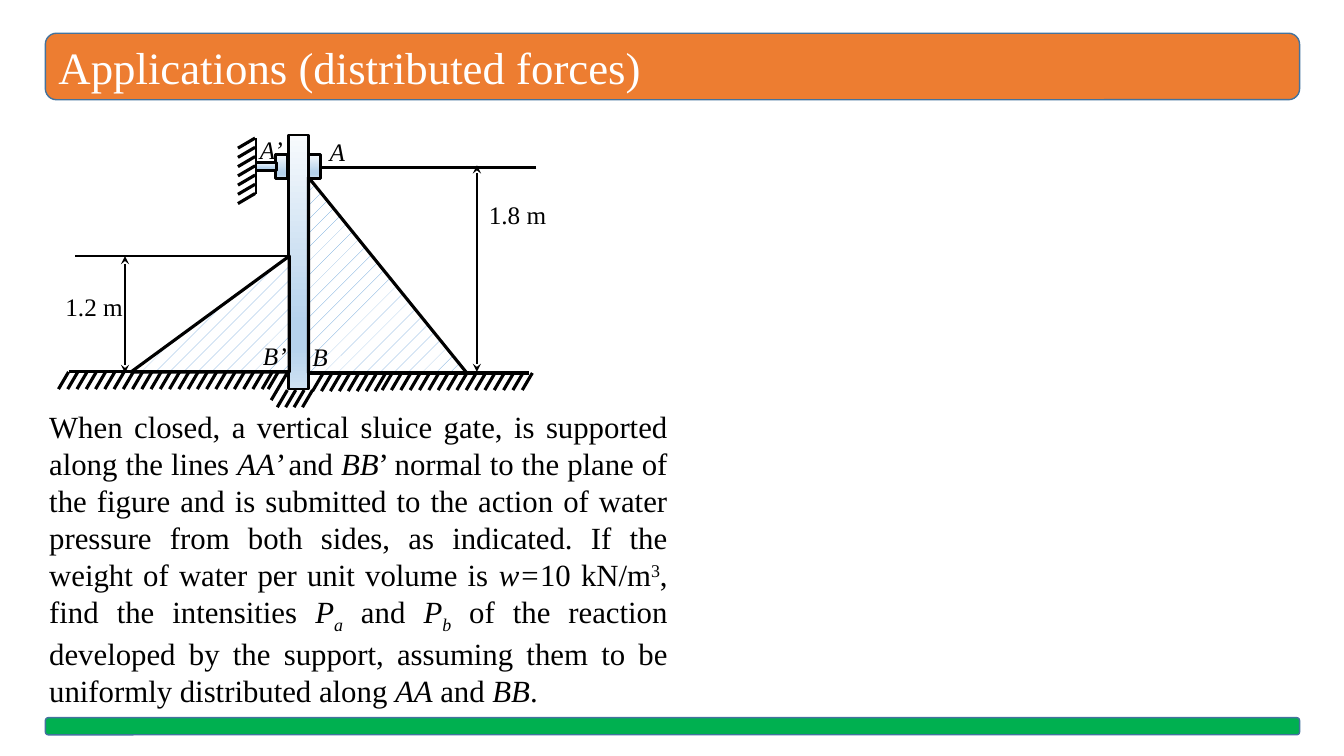
"""Build a slide on the water pressure that acts on a sluice gate."""
from dataclasses import dataclass

from lxml import etree
from pptx import Presentation
from pptx.dml.color import RGBColor
from pptx.enum.dml import MSO_PATTERN
from pptx.enum.shapes import MSO_CONNECTOR, MSO_SHAPE
from pptx.enum.text import MSO_ANCHOR, PP_ALIGN
from pptx.oxml.ns import qn
from pptx.util import Inches, Pt

RECT = MSO_SHAPE.RECTANGLE
ROUND = MSO_SHAPE.ROUNDED_RECTANGLE
WEDGE = MSO_SHAPE.RIGHT_TRIANGLE
STRAIGHT = MSO_CONNECTOR.STRAIGHT
DOTS = MSO_PATTERN.PERCENT_5
MIDDLE = MSO_ANCHOR.MIDDLE
LEFT, JUSTIFY = PP_ALIGN.LEFT, PP_ALIGN.JUSTIFY


@dataclass(frozen=True)
class Theme:
    """Colours, font, type sizes and line widths."""
    font: str = "Times New Roman"
    ink: str = "000000"
    paper: str = "FFFFFF"
    banner: str = "ED7D31"
    footer: str = "00B050"
    edge: str = "43739E"
    water: str = "5B9BD5"
    steel: tuple = ((0, "F7FAFD"), (74, "B5D2EC"), (83, "B5D2EC"), (100, "CEE1F2"))
    title: int = 32
    body: int = 22
    label: int = 18
    thin: float = 1
    level: float = 1.75
    frame: float = 2
    thick: float = 2.25


def write(para, text, font, size, color, slant=False, base=0):
    """Add a run of text with its format."""
    run = para.add_run()
    run.text = text
    run.font.name, run.font.size = font, Pt(size)
    run.font.color.rgb = RGBColor.from_string(color)
    run.font.italic = slant
    if base:
        run.font._element.set("baseline", str(base * 1000))


class Board:
    """Draw styled elements on the current slide."""

    def __init__(self, slide, theme):
        """Keep the slide and the theme."""
        self.slide, self.theme = slide, theme
        self.host = slide.shapes

    def group(self):
        """Send the next elements to a new group."""
        self.host = self.slide.shapes.add_group_shape().shapes

    def leave(self):
        """Send the next elements to the slide itself."""
        self.host = self.slide.shapes

    def shape(self, kind, box, edge, width):
        """Add an outlined shape."""
        item = self.host.add_shape(kind, *map(Inches, box))
        item.shadow.inherit = False
        item.line.color.rgb = RGBColor.from_string(edge)
        item.line.width = Pt(width)
        return item

    def bar(self, box, fill, text=""):
        """Add a rounded bar with an optional heading."""
        style = self.theme
        item = self.shape(ROUND, box, style.edge, style.thin)
        item.fill.solid()
        item.fill.fore_color.rgb = RGBColor.from_string(fill)
        if text:
            frame = item.text_frame
            frame.vertical_anchor = MIDDLE
            para = frame.paragraphs[0]
            para.alignment = LEFT
            write(para, text, style.font, style.title, style.paper)

    def plate(self, *box):
        """Add a steel part with a vertical gradient."""
        item = self.shape(RECT, box, self.theme.ink, self.theme.frame)
        item.fill.gradient()
        item.fill.gradient_angle = 270
        stops = item.element.spPr.find(qn("a:gradFill")).find(qn("a:gsLst"))
        for stop in list(stops):
            stops.remove(stop)
        for place, color in self.theme.steel:
            stop = etree.SubElement(stops, qn("a:gs"), pos=str(place * 1000))
            etree.SubElement(stop, qn("a:srgbClr"), val=color)

    def wedge(self, *box, flip=False):
        """Add a triangle of water pressure."""
        style = self.theme
        item = self.shape(WEDGE, box, style.ink, style.thick)
        item.fill.patterned()
        item.fill.pattern = DOTS
        item.fill.fore_color.rgb = RGBColor.from_string(style.water)
        item.fill.back_color.rgb = RGBColor.from_string(style.paper)
        if flip:
            item.element.spPr.find(qn("a:xfrm")).set("flipH", "1")

    def line(self, *ends, width, arrows=False):
        """Add a straight line from one point to another."""
        item = self.host.add_connector(STRAIGHT, *map(Inches, ends))
        item.line.color.rgb = RGBColor.from_string(self.theme.ink)
        item.line.width = Pt(width)
        props = item.element.spPr
        if arrows:
            for end in ("a:headEnd", "a:tailEnd"):
                etree.SubElement(props.find(qn("a:ln")), qn(end), type="stealth")
        etree.SubElement(props, qn("a:effectLst"))

    def hatch(self, start, stop, count, slope):
        """Add equal ticks between two points."""
        for i in range(count):
            x, y = (a + (b - a) * i / (count - 1) for a, b in zip(start, stop))
            self.line(x, y, x + slope[0], y + slope[1], width=self.theme.thick)

    def text(self, box, parts, size, wrap=False, align=LEFT):
        """Add a text box made of formatted parts."""
        frame = self.host.add_textbox(*map(Inches, box)).text_frame
        frame.word_wrap = wrap
        para = frame.paragraphs[0]
        para.alignment = align
        for words, form in parts:
            write(para, words, self.theme.font, size, self.theme.ink, **form)


PLAIN, SLANT = {}, {"slant": True}
SUB, SUPER = {"slant": True, "base": -25}, {"base": 30}

TASK = [
    ("When closed, a vertical sluice gate, is supported along the lines ", PLAIN),
    ("AA’ ", SLANT), ("and ", PLAIN), ("BB", SLANT),
    ("’ normal to the plane of the figure and is submitted to the action of "
     "water pressure from both sides, as indicated. If the weight of water "
     "per unit volume is ", PLAIN),
    ("w=", SLANT), ("10 kN/m", PLAIN), ("3", SUPER),
    (", find the intensities ", PLAIN),
    ("P", SLANT), ("a", SUB), (" and ", PLAIN), ("P", SLANT), ("b", SUB),
    (" of the reaction developed by the support, assuming them to be "
     "uniformly distributed along ", PLAIN),
    ("AA", SLANT), (" and ", PLAIN), ("BB", SLANT), (".", PLAIN),
]

LABELS = [
    ("1.8 m", 4.75, 1.93, 0.78, PLAIN), ("1.2 m", 0.55, 2.84, 0.78, PLAIN),
    ("A", 3.17, 1.3, 0.36, SLANT), ("B", 3, 3.34, 0.36, SLANT),
    ("B’", 2.51, 3.33, 0.44, SLANT), ("A’", 2.48, 1.28, 0.43, SLANT),
]


def draw_gate(board):
    """Draw the gate, its supports and the water pressure."""
    style = board.theme
    board.group()
    board.plate(2.86, 1.34, 0.2, 2.52)
    for x in (3.06, 2.73):
        board.plate(x, 1.53, 0.12, 0.24)
    board.plate(2.54, 1.61, 0.2, 0.08)
    board.wedge(3.06, 1.76, 1.57, 1.94)
    board.wedge(1.3, 2.54, 1.57, 1.15, flip=True)
    board.line(0.68, 3.69, 2.87, 3.69, width=style.thick)
    board.line(3.06, 3.7, 5.25, 3.7, width=style.thick)
    ground = (-0.1, 0.17)
    for left, right, y, count in ((0.68, 2.7, 3.69, 23), (3.2, 3.82, 3.71, 8),
                                  (3.89, 5.28, 3.7, 16), (2.85, 3.1, 3.87, 4)):
        board.hatch((left, y), (right, y), count, ground)
    board.line(2.76, 3.69, 2.66, 3.86, width=style.thick)
    board.line(2.86, 3.68, 2.69, 3.97, width=style.thick)
    board.hatch((2.53, 1.37), (2.53, 1.92), 7, (-0.17, 0.1))
    board.line(2.54, 1.92, 2.54, 1.37, width=style.frame)
    board.leave()


def main():
    """Build the slide and save it."""
    deck = Presentation()
    deck.slide_width, deck.slide_height = Inches(13.33), Inches(7.5)
    style = Theme()
    board = Board(deck.slides.add_slide(deck.slide_layouts[6]), style)
    board.bar((0.45, 0.33, 12.44, 0.66), style.banner, "Applications (distributed forces)")
    board.bar((0.45, 7.12, 12.44, 0.17), style.footer)
    board.text((0.39, 4, 6.33, 3.06), TASK, style.body, wrap=True, align=JUSTIFY)
    draw_gate(board)
    for x, top, low in ((4.73, 1.64, 3.69), (1.24, 2.54, 3.7)):
        board.line(x, top, x, low, width=style.level, arrows=True)
    board.line(5.32, 1.66, 3.19, 1.66, width=style.level)
    board.line(2.86, 2.54, 0.74, 2.54, width=style.level)
    for words, x, y, wide, form in LABELS:
        board.text((x, y, wide, 0.4), [(words, form)], style.label)
    deck.save("out.pptx")


if __name__ == "__main__":
    main()
